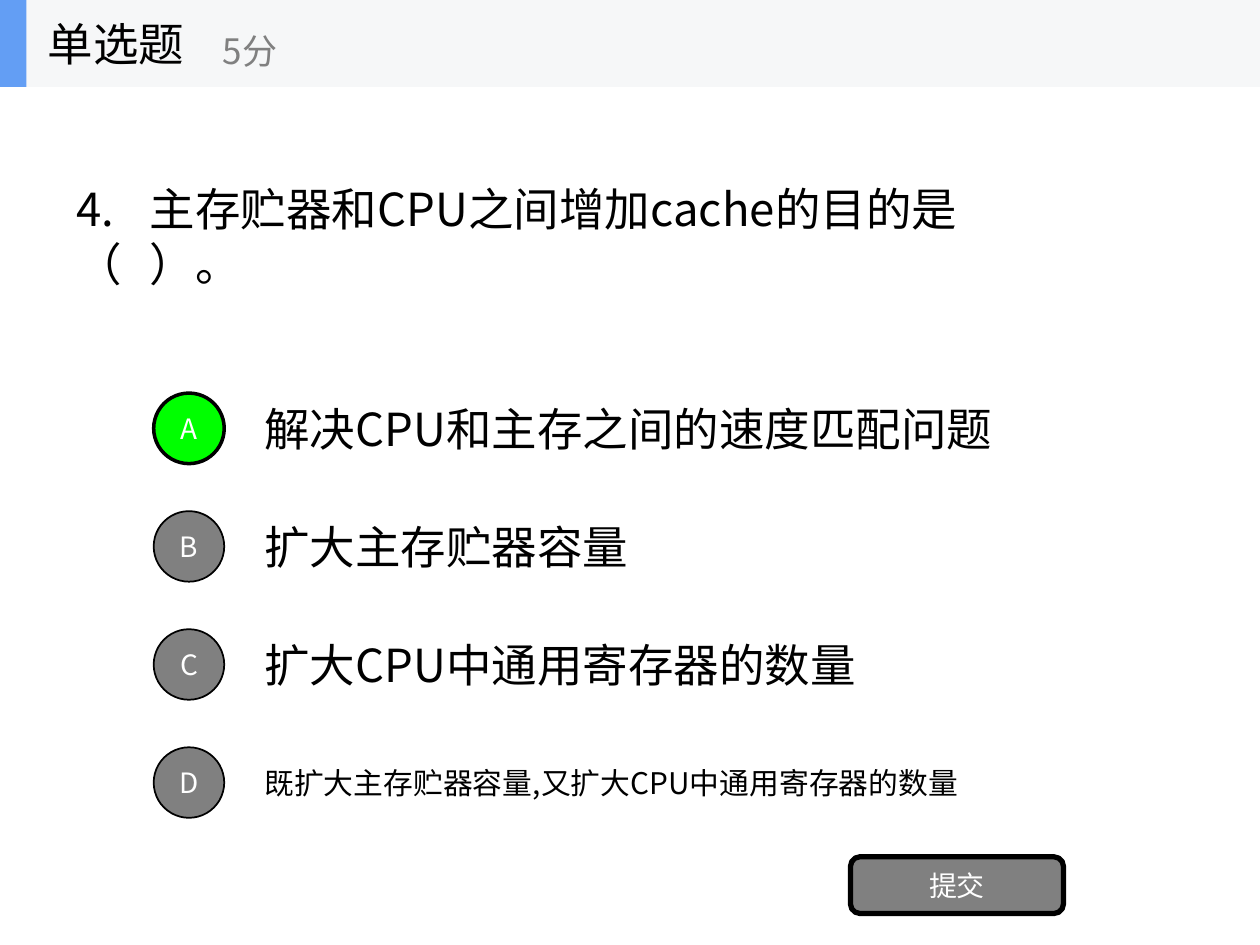
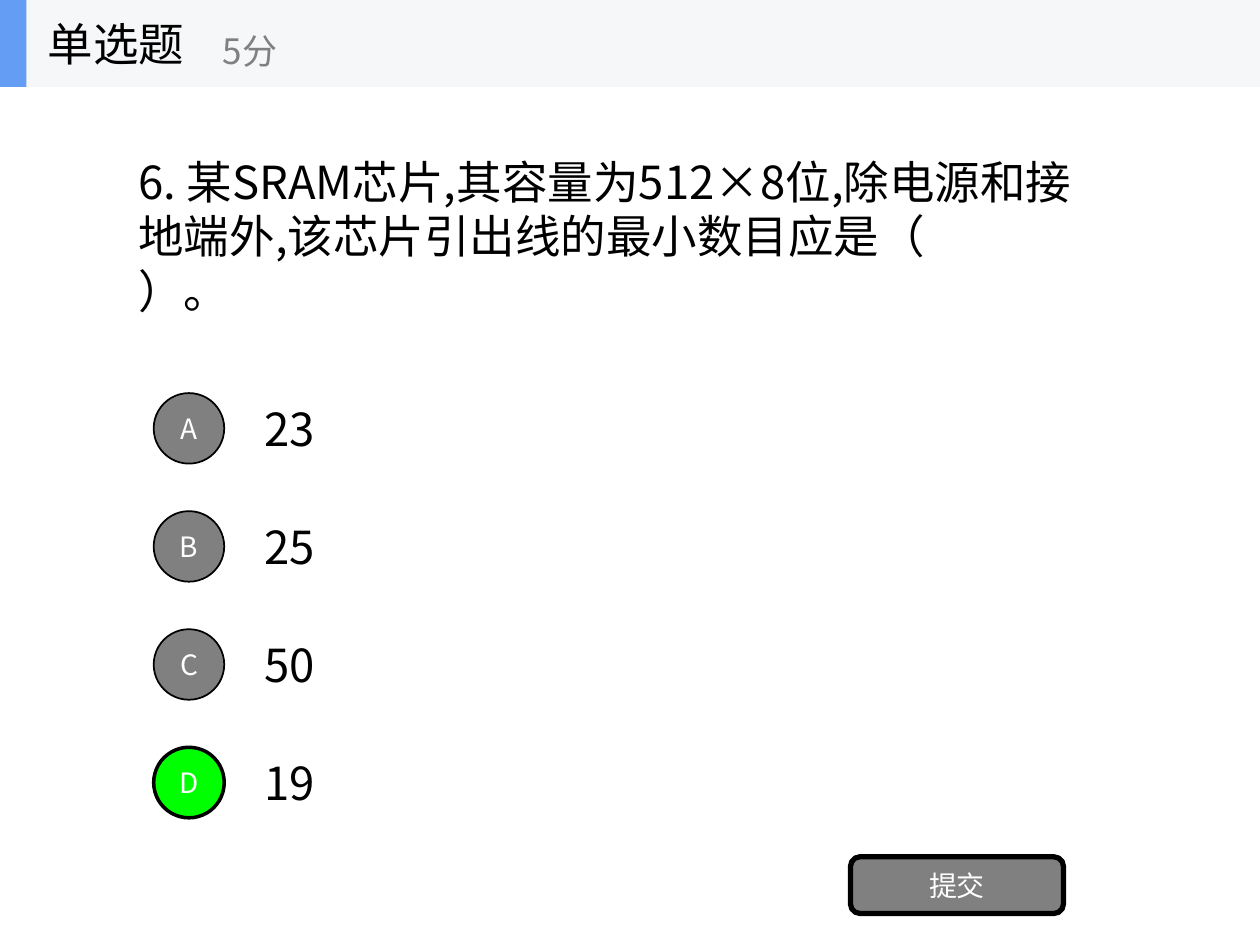
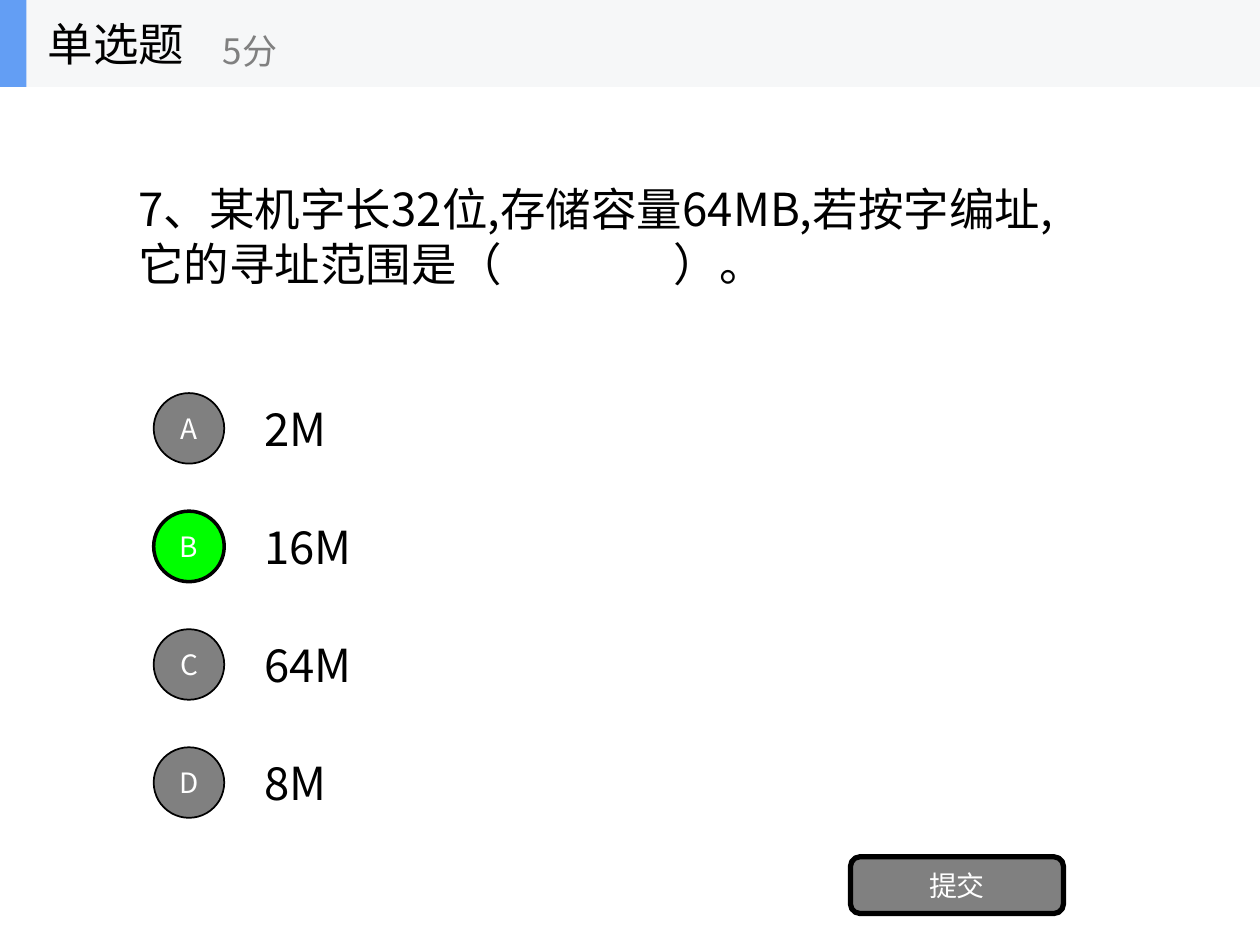
"""Build three single-choice quiz slides about computer memory."""
from dataclasses import dataclass
from typing import Optional

from lxml.etree import SubElement
from pptx import Presentation
from pptx.dml.color import RGBColor
from pptx.enum.shapes import MSO_SHAPE
from pptx.enum.text import MSO_ANCHOR, MSO_AUTO_SIZE, PP_ALIGN
from pptx.oxml.ns import qn
from pptx.shapes.autoshape import Shape
from pptx.slide import Slide
from pptx.util import Emu, Inches, Pt


@dataclass(frozen=True)
class Theme:
    """Colours, font and type sizes shared by every slide."""

    font: str = "Noto Sans CJK SC"
    ink: str = "000000"
    paper: str = "FFFFFF"
    muted: str = "808080"
    correct: str = "00FF00"
    band: str = "F6F7F8"
    accent: str = "639EF4"
    body_size: int = 26
    score_size: int = 20
    label_size: int = 16
    small_size: int = 17


@dataclass(frozen=True)
class Grid:
    """Slide size and its division into columns and rows."""

    width: Emu = Inches(10)
    height: Emu = Inches(7.5)
    columns: int = 100
    rows: int = 75

    def across(self, columns: float) -> Emu:
        """Return the length of a number of columns."""
        return Emu(round(self.width * columns / self.columns))

    def down(self, rows: float) -> Emu:
        """Return the length of a number of rows."""
        return Emu(round(self.height * rows / self.rows))


@dataclass(frozen=True)
class Frame:
    """A rectangle in grid columns and rows."""

    left: float
    top: float
    width: float
    height: float

    def lengths(self) -> tuple[Emu, Emu, Emu, Emu]:
        """Return left, top, width and height as slide lengths."""
        return (GRID.across(self.left), GRID.down(self.top),
                GRID.across(self.width), GRID.down(self.height))


@dataclass(frozen=True)
class Style:
    """How a piece of text looks."""

    size: int
    color: str
    alignment: PP_ALIGN = PP_ALIGN.LEFT
    wrap: bool = True
    grow: bool = False
    tab_column: Optional[float] = None


@dataclass(frozen=True)
class Option:
    """One answer and the size of its text box."""

    text: str
    width: float
    height: float = 5.4
    size: int = Theme.body_size


@dataclass(frozen=True)
class Question:
    """One quiz slide."""

    lines: tuple[str, ...]
    left: float
    width: float
    height: float
    options: tuple[Option, ...]
    answer: str
    tab_column: Optional[float] = None


THEME = Theme()
GRID = Grid()
LABELS = "ABCD"
QUESTION_CENTER = 18.7
FIRST_OPTION_CENTER = 34
OPTION_PITCH = 9.37
OPTION_LEFT = 20
BADGE_LEFT = 12.2
BADGE_SIZE = 5.6
BAND_HEIGHT = 6.9
LABEL_STYLE = Style(THEME.label_size, THEME.paper, PP_ALIGN.CENTER)

QUESTIONS = (
    Question(
        ("4.\t主存贮器和CPU之间增加cache的目的是", "（\t）。"), 5.1, 84.9, 5.4,
        (Option("解决CPU和主存之间的速度匹配问题", 60.9, 9.7),
         Option("扩大主存贮器容量", 32),
         Option("扩大CPU中通用寄存器的数量", 50.1, 9.7),
         Option("既扩大主存贮器容量,又扩大CPU中通用寄存器的数量", 57.6, 6.7, THEME.small_size)),
        "A", 5.8),
    Question(
        ("6. 某SRAM芯片,其容量为512×8位,除电源和接地端外,该芯片引出线的最小数目应是（", "）。"),
        10, 78.9, 14,
        (Option("23", 7.3), Option("25", 7.3), Option("50", 7.3), Option("19", 7.3)),
        "D"),
    Question(
        ("7、某机字长32位,存储容量64MB,若按字编址,它的寻址范围是（\t）。",), 10, 76.6, 9.7,
        (Option("2M", 8.7), Option("16M", 10.8), Option("64M", 10.8), Option("8M", 8.7)),
        "B", 42.5),
)


def write(shape: Shape, lines: tuple[str, ...], style: Style) -> None:
    """Fill a shape with one paragraph, one run per line."""
    frame = shape.text_frame
    frame.word_wrap = style.wrap
    frame.vertical_anchor = MSO_ANCHOR.MIDDLE
    frame.auto_size = MSO_AUTO_SIZE.SHAPE_TO_FIT_TEXT if style.grow else MSO_AUTO_SIZE.NONE
    paragraph = frame.paragraphs[0]
    paragraph.alignment = style.alignment
    if style.tab_column is not None:
        tabs = SubElement(paragraph._p.get_or_add_pPr(), qn("a:tabLst"))
        SubElement(tabs, qn("a:tab"), pos=str(GRID.across(style.tab_column)), algn="l")
    for index, line in enumerate(lines):
        if index:
            paragraph.add_line_break()
        run = paragraph.add_run()
        run.text = line
        run.font.size = Pt(style.size)
        run.font.color.rgb = RGBColor.from_string(style.color)
        run.font.name = THEME.font
        SubElement(run._r.get_or_add_rPr(), qn("a:ea"), typeface=THEME.font)


def add_text(shapes, frame: Frame, lines: tuple[str, ...], style: Style) -> None:
    """Add a text box to a slide or a group."""
    write(shapes.add_textbox(*frame.lengths()), lines, style)


def add_figure(shapes, kind: MSO_SHAPE, frame: Frame, fill: str, line_width: float = 0) -> Shape:
    """Add a flat shape, outlined when a line width is given."""
    shape = shapes.add_shape(kind, *frame.lengths())
    shape.shadow.inherit = False
    shape.fill.solid()
    shape.fill.fore_color.rgb = RGBColor.from_string(fill)
    if line_width:
        shape.line.color.rgb = RGBColor.from_string(THEME.ink)
        shape.line.width = Pt(line_width)
    else:
        shape.line.fill.background()
    return shape


def add_option(slide: Slide, row: int, option: Option, is_answer: bool) -> None:
    """Add an answer text and its lettered badge, centred on their row."""
    center = FIRST_OPTION_CENTER + row * OPTION_PITCH
    add_text(slide.shapes,
             Frame(OPTION_LEFT, center - option.height / 2, option.width, option.height),
             (option.text,), Style(option.size, THEME.ink, grow=True))
    badge = add_figure(slide.shapes, MSO_SHAPE.OVAL,
                       Frame(BADGE_LEFT, center - BADGE_SIZE / 2, BADGE_SIZE, BADGE_SIZE),
                       THEME.correct if is_answer else THEME.muted, 2 if is_answer else 1)
    write(badge, (LABELS[row],), LABEL_STYLE)


def add_submit_button(slide: Slide) -> None:
    """Add the rounded submit button."""
    button = add_figure(slide.shapes, MSO_SHAPE.ROUNDED_RECTANGLE,
                        Frame(67.5, 68, 16.9, 4.5), THEME.muted, 3)
    write(button, ("提交",), LABEL_STYLE)


def add_header(slide: Slide) -> None:
    """Add the grouped band with question type and score."""
    shapes = slide.shapes.add_group_shape().shapes
    add_figure(shapes, MSO_SHAPE.RECTANGLE, Frame(0, 0, GRID.columns, BAND_HEIGHT), THEME.band)
    add_figure(shapes, MSO_SHAPE.RECTANGLE, Frame(0, 0, 2.1, BAND_HEIGHT), THEME.accent)
    add_text(shapes, Frame(2.8, 0, 20.8, BAND_HEIGHT), ("单选题",),
             Style(THEME.body_size, THEME.ink, wrap=False))
    add_text(shapes, Frame(16.7, 1.2, 25, 5.6), ("5分",),
             Style(THEME.score_size, THEME.muted, wrap=False))


def add_question(presentation, question: Question) -> None:
    """Add one complete quiz slide."""
    slide = presentation.slides.add_slide(presentation.slide_layouts[6])
    top = QUESTION_CENTER - question.height / 2
    add_text(slide.shapes, Frame(question.left, top, question.width, question.height),
             question.lines,
             Style(THEME.body_size, THEME.ink, grow=True, tab_column=question.tab_column))
    for row, option in enumerate(question.options):
        add_option(slide, row, option, LABELS[row] == question.answer)
    add_submit_button(slide)
    add_header(slide)


def main() -> None:
    """Build and save the presentation."""
    presentation = Presentation()
    presentation.slide_width = GRID.width
    presentation.slide_height = GRID.height
    for question in QUESTIONS:
        add_question(presentation, question)
    presentation.save("out.pptx")


if __name__ == "__main__":
    main()
